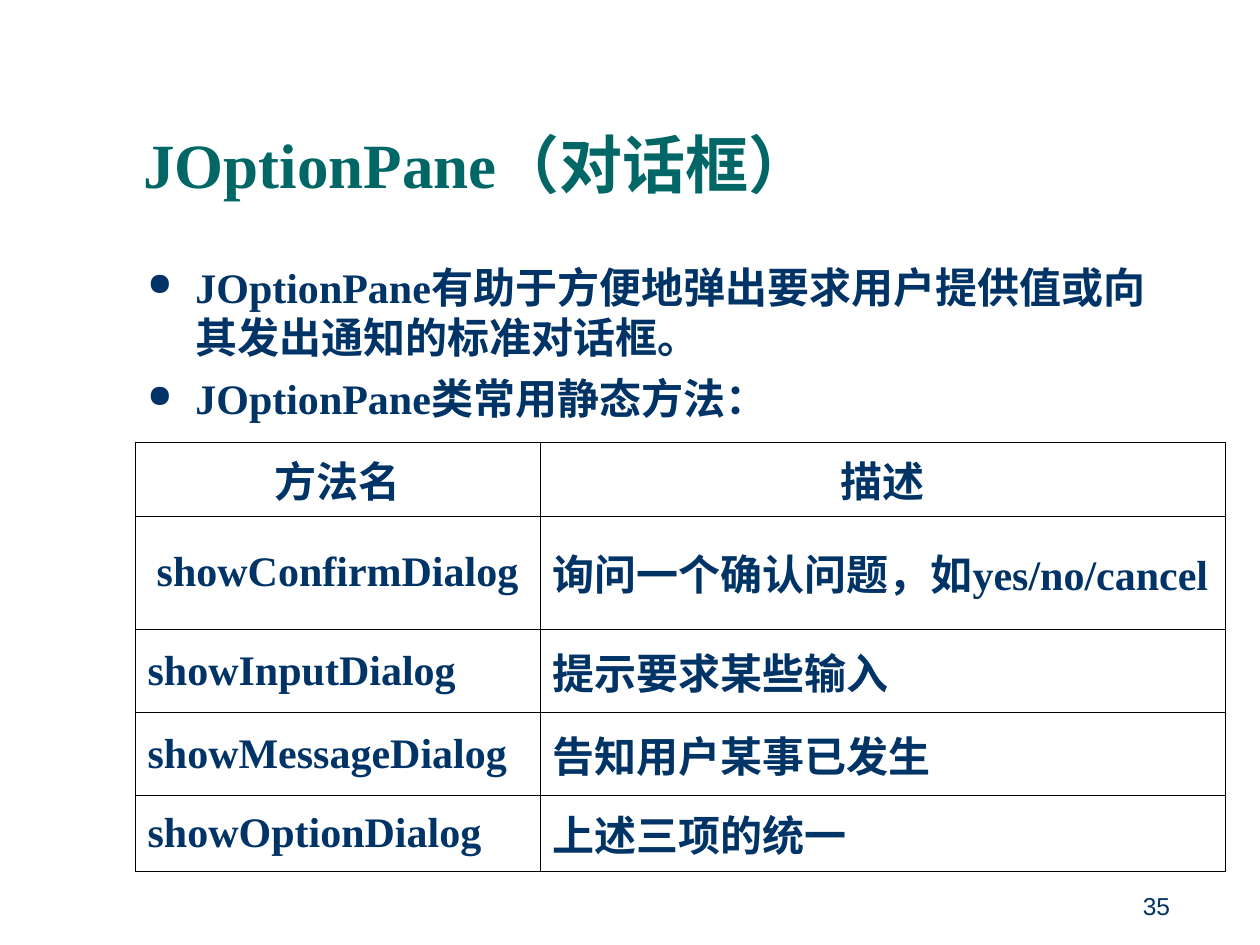
from lxml import etree
from pptx import Presentation
from pptx.dml.color import RGBColor
from pptx.enum.text import MSO_ANCHOR, PP_ALIGN
from pptx.oxml.ns import qn
from pptx.util import Emu, Pt

TOP, MIDDLE, BOTTOM = MSO_ANCHOR.TOP, MSO_ANCHOR.MIDDLE, MSO_ANCHOR.BOTTOM
LEFT, CENTER = PP_ALIGN.LEFT, PP_ALIGN.CENTER
NAVY, TEAL, BLACK = "003366", "006666", "000000"
SERIF, SANS = "Times New Roman", "Arial"
INDENT = 48


def px(n):
    return Emu(round(n * 914400 / 126))


def rgb(color):
    return RGBColor.from_string(color)


def sub(parent, tag, **attrs):
    return etree.SubElement(parent, qn(tag), {k: str(v) for k, v in attrs.items()})


def write(p, text, size=24, color=NAVY, font=SERIF, bold=True, align=LEFT,
          hanging=False, bullet=None, before=0, spacing=None):
    pPr = p._p.get_or_add_pPr()
    if hanging:
        pPr.set("marL", str(px(INDENT)))
        pPr.set("indent", str(-px(INDENT)))
    if bullet:
        sub(sub(pPr, "a:buClr"), "a:srgbClr", val=color)
        sub(pPr, "a:buSzPct", val=75000)
        sub(pPr, "a:buChar", char=bullet)
    p.alignment = align
    if before:
        p.space_before = Pt(before)
    if spacing:
        p.line_spacing = spacing
    r = p.add_run()
    r.text = text
    r.font.size = Pt(size)
    r.font.name = font
    r.font.bold = bold
    r.font.color.rgb = rgb(color)


class Deck:
    def __init__(self, width, height):
        self.prs = Presentation()
        self.prs.slide_width, self.prs.slide_height = px(width), px(height)
        self.s = self.prs.slides.add_slide(self.prs.slide_layouts[6])

    def text(self, x, y, w, h, lines, anchor=TOP, before=0, **style):
        tf = self.s.shapes.add_textbox(px(x), px(y), px(w), px(h)).text_frame
        tf.word_wrap = True
        tf.vertical_anchor = anchor
        for i, line in enumerate(lines):
            p = tf.add_paragraph() if i else tf.paragraphs[0]
            write(p, line, before=before if i else 0, **style)

    def border(self, cell, color=BLACK, width=0.45):
        tcPr = cell._tc.get_or_add_tcPr()
        for side in "LRTB":
            ln = sub(tcPr, f"a:ln{side}", w=Pt(width))
            sub(sub(ln, "a:solidFill"), "a:srgbClr", val=color)

    def table(self, x, y, widths, heights, rows, centered):
        sp = self.s.shapes.add_table(len(rows), len(widths), px(x), px(y),
                                     px(sum(widths)), px(sum(heights)))
        table = sp.table
        table.first_row = table.horz_banding = False
        for column, width in zip(table.columns, widths):
            column.width = px(width)
        for i, (height, row) in enumerate(zip(heights, rows)):
            table.rows[i].height = px(height)
            for j, value in enumerate(row):
                cell = table.cell(i, j)
                self.border(cell)
                cell.fill.background()
                cell.vertical_anchor = MIDDLE
                write(cell.text_frame.paragraphs[0], value, hanging=True,
                      align=CENTER if (i, j) in centered else LEFT)


def main():
    deck = Deck(1260, 945)
    deck.text(1116, 861, 81, 66, ["35"], anchor=BOTTOM, size=14, font=SANS,
              bold=False, align=CENTER)
    deck.text(131, 112, 1060, 96, ["JOptionPane（对话框）"], anchor=BOTTOM,
              size=36, color=TEAL, spacing=0.9)
    deck.text(135, 255, 1060, 179, [
        "JOptionPane有助于方便地弹出要求用户提供值或向其发出通知的标准对话框。",
        "JOptionPane类常用静态方法：",
    ], before=6, hanging=True, bullet="●")
    deck.table(135, 442, [405, 685], [74, 113, 83, 83, 76], [
        ("方法名", "描述"),
        ("showConfirmDialog", "询问一个确认问题，如yes/no/cancel"),
        ("showInputDialog", "提示要求某些输入"),
        ("showMessageDialog", "告知用户某事已发生"),
        ("showOptionDialog", "上述三项的统一"),
    ], centered={(0, 0), (0, 1), (1, 0)})
    deck.prs.save("out.pptx")


if __name__ == "__main__":
    main()
